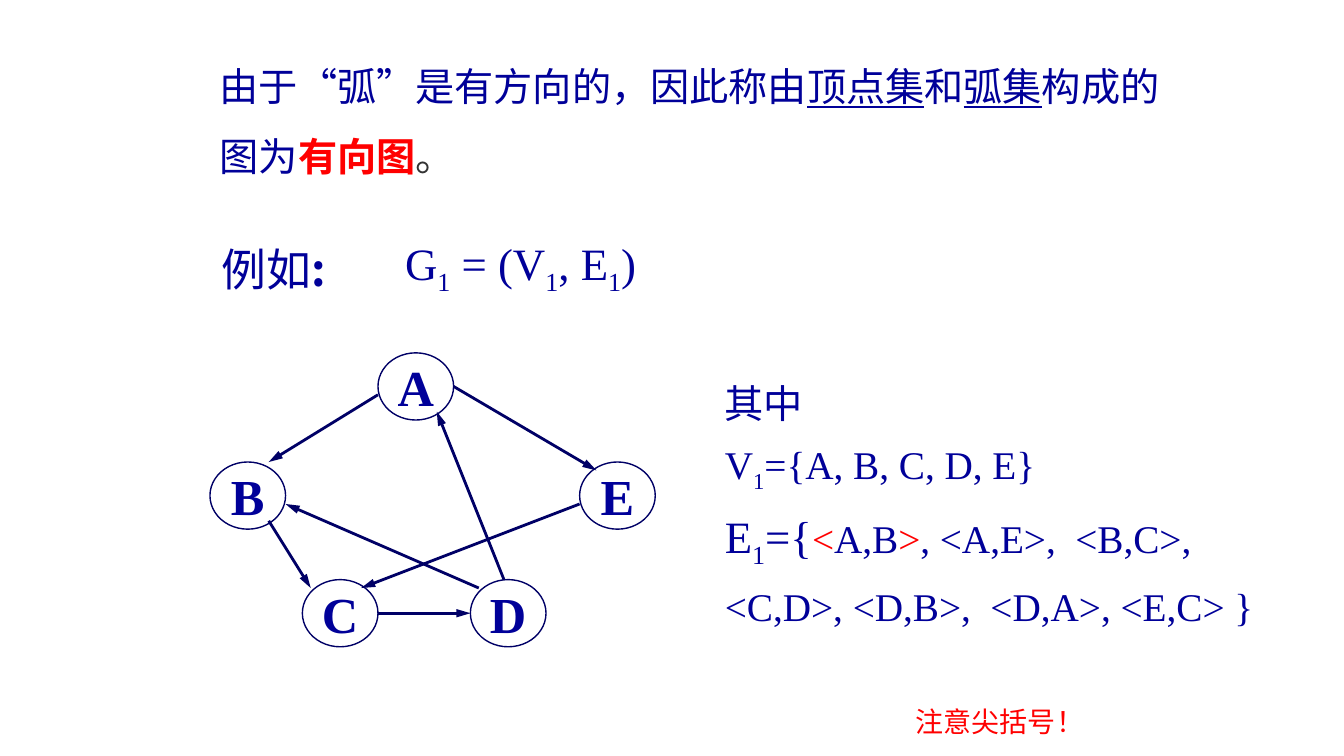
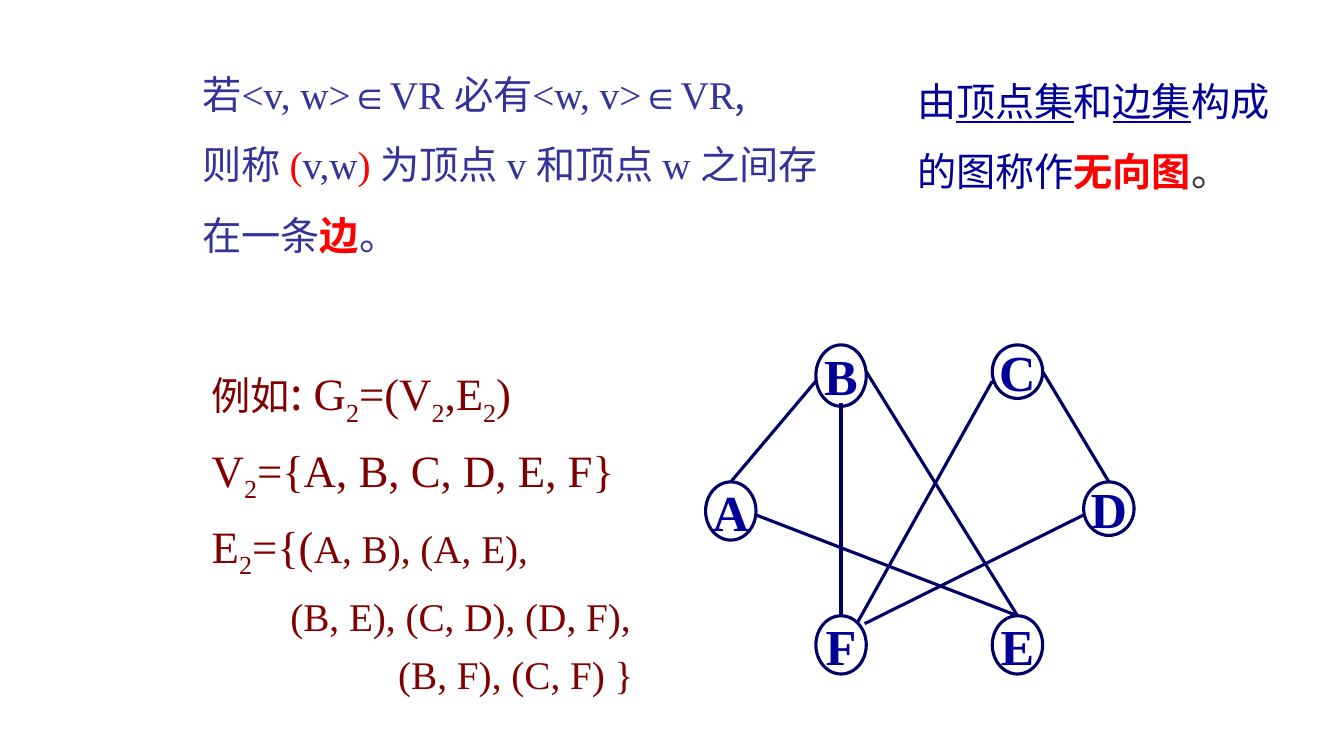
from dataclasses import dataclass, replace

from lxml.etree import SubElement
from pptx import Presentation
from pptx.dml.color import RGBColor
from pptx.enum.shapes import MSO_CONNECTOR, MSO_SHAPE
from pptx.enum.text import MSO_ANCHOR, MSO_AUTO_SIZE, PP_ALIGN
from pptx.oxml.ns import qn
from pptx.util import Inches, Pt


@dataclass(frozen=True)
class Style:
    font: str
    size: int
    color: str
    bold: bool = False
    underline: bool = False
    subscript: bool = False


@dataclass(frozen=True)
class Theme:
    chinese: str = "Noto Sans CJK SC"
    latin: str = "Times New Roman"
    navy: str = "000099"
    outline: str = "000066"
    indigo: str = "333399"
    maroon: str = "800000"
    red: str = "FF0000"
    gray: str = "333333"
    note_size: int = 20
    text_size: int = 28
    formula_size: int = 32
    node_size: int = 36


@dataclass(frozen=True)
class Box:
    """A region in percent of the slide's width and height."""
    left: float
    top: float
    width: float = 0
    height: float = 0

    def lengths(self):
        across, down = WIDTH / 100, HEIGHT / 100
        return [int(value) for value in (self.left * across, self.top * down,
                                         self.width * across, self.height * down)]


WIDTH, HEIGHT = Inches(13.33), Inches(7.5)
THEME = Theme()

PROSE = Style(THEME.chinese, THEME.text_size, THEME.navy)
LINKED = replace(PROSE, underline=True)
TERM = replace(PROSE, color=THEME.red, bold=True)
STOP = replace(PROSE, color=THEME.gray)
SYMBOL = replace(PROSE, font=THEME.latin)
FORMULA = replace(SYMBOL, size=THEME.formula_size)
BRACKET = replace(SYMBOL, color=THEME.red)
NODE = Style(THEME.latin, THEME.node_size, THEME.navy, bold=True)
NOTE = Style(THEME.latin, THEME.note_size, THEME.red)


def recolor(style, color):
    return replace(style, color=color)


def indexed(style, text):
    """Split text into runs, lowering the character after each underscore."""
    first, *others = text.split("_")
    runs = [(first, style)]
    for part in others:
        runs += [(part[0], replace(style, subscript=True)), (part[1:], style)]
    return [run for run in runs if run[0]]


def add_run(paragraph, text, style):
    run = paragraph.add_run()
    run.text = text
    run.font.name = style.font
    run.font.size = Pt(style.size)
    run.font.bold = style.bold
    run.font.underline = style.underline
    run.font.color.rgb = RGBColor.from_string(style.color)
    properties = run._r.get_or_add_rPr()
    SubElement(properties, qn("a:ea")).set("typeface", THEME.chinese)
    if style.subscript:
        properties.set("baseline", "-25000")


def fill_text(shape, box, paragraphs, spacing, indents=(), align=PP_ALIGN.LEFT):
    shape.left, shape.top, shape.width, shape.height = box.lengths()
    frame = shape.text_frame
    frame.word_wrap = True
    frame.auto_size = MSO_AUTO_SIZE.NONE
    frame.vertical_anchor = MSO_ANCHOR.TOP
    for index, runs in enumerate(paragraphs):
        paragraph = frame.add_paragraph() if index else frame.paragraphs[0]
        paragraph.alignment = align
        paragraph.line_spacing = spacing
        paragraph.space_before = paragraph.space_after = Pt(0)
        properties = paragraph._p.get_or_add_pPr()
        indent = indents[index] if index < len(indents) else 0
        properties.set("marL", str(Inches(indent)))
        properties.set("indent", "0")
        SubElement(properties, qn("a:buNone"))
        for text, style in runs:
            add_run(paragraph, text, style)


def add_text(slide, box, runs, spacing, align=PP_ALIGN.LEFT):
    shape = slide.shapes.add_textbox(*box.lengths())
    fill_text(shape, box, [runs], spacing, align=align)


@dataclass(frozen=True)
class Graph:
    """Nodes are (column, row, height); edges join offsets inside two nodes."""
    cell: float
    node_width: int
    nodes: dict
    edges: list
    node_line: float
    edge_line: float
    directed: bool


def add_node(group, label, place, size, weight):
    node = group.shapes.add_shape(MSO_SHAPE.OVAL, *place, *size)
    node.shadow.inherit = False
    node.fill.background()
    node.line.color.rgb = RGBColor.from_string(THEME.outline)
    node.line.width = Pt(weight)
    frame = node.text_frame
    frame.word_wrap = False
    frame.vertical_anchor = MSO_ANCHOR.MIDDLE
    frame.paragraphs[0].alignment = PP_ALIGN.CENTER
    add_run(frame.paragraphs[0], label, NODE)


def add_edge(group, start, end, weight, directed):
    edge = group.shapes.add_connector(MSO_CONNECTOR.STRAIGHT, *start, *end)
    edge.line.color.rgb = RGBColor.from_string(THEME.outline)
    edge.line.width = Pt(weight)
    if directed:
        head = SubElement(edge.line._get_or_add_ln(), qn("a:tailEnd"))
        for name, value in (("type", "triangle"), ("w", "med"), ("len", "lg")):
            head.set(name, value)
    SubElement(edge._element.spPr, qn("a:effectLst"))


def add_graph(slide, box, graph):
    left, top, _, _ = box.lengths()
    cell = Inches(graph.cell)
    group = slide.shapes.add_group_shape()

    def point(label, offset=(0, 0)):
        column, row, _ = graph.nodes[label]
        return left + (column + offset[0]) * cell, top + (row + offset[1]) * cell

    for label, (_, _, height) in graph.nodes.items():
        size = graph.node_width * cell, height * cell
        add_node(group, label, point(label), size, graph.node_line)
    for source, leave, target, arrive in graph.edges:
        add_edge(group, point(source, leave), point(target, arrive),
                 graph.edge_line, graph.directed)


DIRECTED = Graph(
    cell=1 / 12, node_width=9, node_line=1, edge_line=2, directed=True,
    nodes={"A": (20, 0, 8), "B": (0, 13, 8), "C": (11, 27, 8),
           "D": (31, 27, 8), "E": (44, 13, 8)},
    edges=[("A", (0, 5), "B", (7, 0)), ("B", (7, 7), "C", (1, 1)),
           ("C", (9, 4), "D", (0, 4)), ("D", (4, 0), "A", (7, 7)),
           ("A", (9, 4), "E", (2, 1)), ("D", (1, 1), "B", (9, 5)),
           ("E", (0, 5), "C", (7, 1))])

UNDIRECTED = Graph(
    cell=1 / 64, node_width=32, node_line=2.25, edge_line=2.25, directed=False,
    nodes={"A": (0, 87, 37), "B": (70, 0, 39), "C": (182, 0, 34),
           "D": (240, 87, 34), "E": (182, 172, 37), "F": (70, 172, 37)},
    edges=[("B", (0, 23), "A", (16, 0)), ("B", (32, 17), "E", (16, 0)),
           ("A", (32, 21), "E", (16, 0)), ("C", (0, 23), "F", (26, 5)),
           ("C", (32, 17), "D", (16, 0)), ("D", (0, 21), "F", (31, 5)),
           ("B", (16, 37), "F", (16, 0))])


def add_slide(presentation):
    slide = presentation.slides.add_slide(presentation.slide_layouts[1])
    return slide, slide.shapes.title, slide.placeholders[1]


def build_directed_slide(presentation):
    slide, title, body = add_slide(presentation)
    fill_text(title, Box(15.6, 4.4, 71.85, 19.07), [[
        ("由于“弧”是有方向的，因此称由", PROSE), ("顶点集", LINKED), ("和", PROSE),
        ("弧集", LINKED), ("构成的图为", PROSE), ("有向图", TERM), ("。", STOP)]], 1.5)
    add_graph(slide, Box(15.62, 46.67), DIRECTED)
    example = replace(PROSE, size=THEME.formula_size)
    add_text(slide, Box(15.75, 29.87, 10.28, 9.2),
             [("例如", example), (":", replace(example, bold=True))], 1.2)
    add_text(slide, Box(29.4, 28.93, 28.13, 9.2),
             indexed(FORMULA, "G_1 = (V_1, E_1)"), 1.2)
    fill_text(body, Box(53.18, 48, 45.68, 33.2), [
        [("其中", PROSE)],
        indexed(SYMBOL, "V_1={A, B, C, D, E}"),
        indexed(FORMULA, "E_1={") + [
            ("<", BRACKET), ("A,B", SYMBOL), (">", BRACKET),
            (", <A,E>,  <B,C>, <C,D>, <D,B>,  <D,A>, <E,C> }", SYMBOL)],
    ], 1.25)
    add_text(slide, Box(66.98, 92.53, 12.75, 5.87),
             [("注意尖括号！", NOTE)], 1.0, PP_ALIGN.CENTER)


def build_undirected_slide(presentation):
    slide, title, body = add_slide(presentation)
    prose, symbol = recolor(PROSE, THEME.indigo), recolor(SYMBOL, THEME.indigo)
    fill_text(title, Box(14.32, 5.47, 49.35, 28.53), [
        [("若", prose), ("<v, w>∈VR ", symbol), ("必有", prose),
         ("<w, v>∈VR", symbol), (",", prose)],
        [("则称 ", prose), ("(", BRACKET), ("v,w", symbol), (") ", BRACKET),
         ("为顶点 ", prose), ("v ", symbol), ("和顶点 ", prose), ("w ", symbol),
         ("之间存在一条", prose), ("边", TERM), ("。", prose)],
    ], 1.5)
    add_graph(slide, Box(52.5, 45.62), UNDIRECTED)
    add_text(slide, Box(67.5, 6.4, 28.2, 19.07), [
        ("由", PROSE), ("顶点集", LINKED), ("和", PROSE), ("边集", LINKED),
        ("构成的图称作", PROSE), ("无向图", TERM), ("。", STOP)], 1.5)
    prose, symbol, formula = (recolor(style, THEME.maroon)
                              for style in (PROSE, SYMBOL, FORMULA))
    fill_text(body, Box(15, 45.73, 34.43, 43.2), [
        [("例如", prose), (":", replace(prose, size=THEME.formula_size))]
        + indexed(formula, " G_2=(V_2,E_2)"),
        indexed(formula, "V_2={A, B, C, D, E, F}"),
        indexed(formula, "E_2={(") + [("A, B), (A, E),", symbol)],
        [("(B, E), (C, D), (D, F),", symbol)],
        [("(B, F), (C, F) }", symbol)],
    ], 1.25, indents=(0, 0, 0, 0.78, 1.85))


def main():
    presentation = Presentation()
    presentation.slide_width, presentation.slide_height = WIDTH, HEIGHT
    build_directed_slide(presentation)
    build_undirected_slide(presentation)
    presentation.save("out.pptx")


if __name__ == "__main__":
    main()
